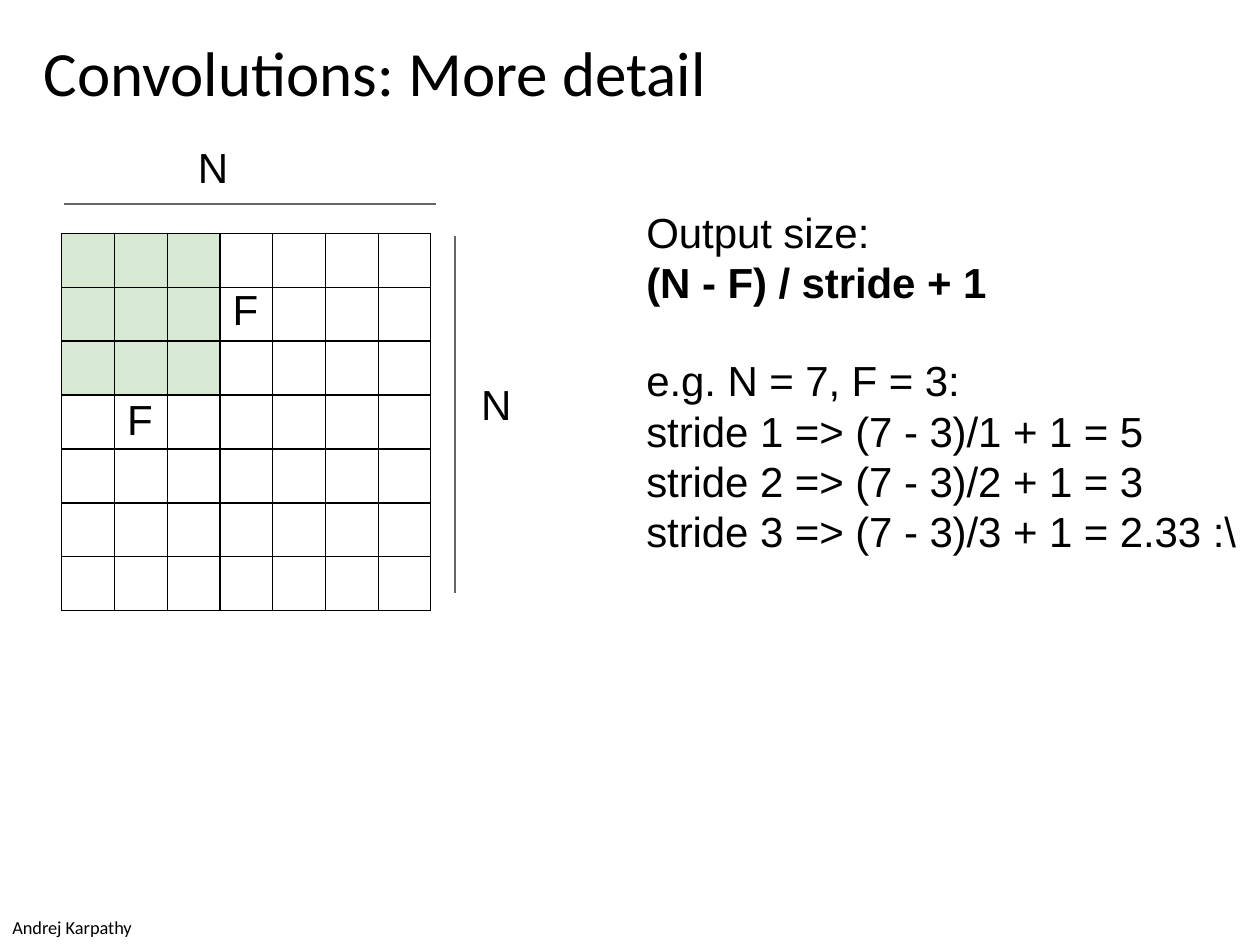
from pptx import Presentation
from pptx import util as u
from pptx.dml.color import RGBColor
from pptx.enum import shapes
from pptx.oxml import parse_xml
from pptx.oxml.ns import nsdecls

PX = 9144  # 100 px to the inch
BLACK = RGBColor(0, 0, 0)
GRAY = RGBColor(0x66, 0x66, 0x66)
GREEN = RGBColor(0xD8, 0xE9, 0xD3)
N, F = 7, 3


def px(*vals):
    return [u.Emu(v * PX) for v in vals]


def style(para, size=24, font="Arial"):
    para.font.size = u.Pt(size)
    para.font.name = font
    para.font.color.rgb = BLACK


def indent(para, left):
    props = para._p.get_or_add_pPr()
    props.set("marL", str(left * PX))
    props.set("indent", "0")


def add_text(slide, box, lines, size=24, font="Arial", pad=0, wrap=True):
    """Write one paragraph per line and return the paragraphs."""
    frame = slide.shapes.add_textbox(*px(*box)).text_frame
    frame.word_wrap = wrap
    if not pad:
        frame.margin_left = frame.margin_right = 0
        frame.margin_top = frame.margin_bottom = 0
    frame.text = "\n".join(lines)
    for para in frame.paragraphs:
        style(para, size, font)
        if not pad:
            indent(para, 1)
            for run in para.runs:
                run.font._element.set("spc", "-5")
    return frame.paragraphs


def add_line(slide, x1, y1, x2, y2):
    line = slide.shapes.add_connector(
        shapes.MSO_CONNECTOR.STRAIGHT, *px(x1, y1, x2, y2))
    line.line.color.rgb = GRAY
    line.line.width = u.Pt(1.5)
    line._element.spPr.append(parse_xml(f"<a:effectLst {nsdecls('a')}/>"))


def add_border(cell):
    props = cell._tc.get_or_add_tcPr()
    for side in "LRTB":
        props.append(parse_xml(
            f'<a:ln{side} {nsdecls("a")} w="9525"><a:solidFill>'
            f'<a:srgbClr val="{BLACK}"/></a:solidFill></a:ln{side}>'))


def add_grid(slide, x, y, w, h):
    """Draw the N by N input with its F by F filter and size lines."""
    add_line(slide, x + 2, y - 23, x + w + 4, y - 23)
    add_line(slide, x + w + 19, y + 2, x + w + 19, y + h - 14)
    add_text(slide, (x + w + 39, y + 115, 27, 41), ["N"])

    table = slide.shapes.add_table(N, N, *px(x, y, w, h)).table
    table.first_row = table.horz_banding = False
    for i in range(N):
        table.columns[i].width = u.Emu(w * PX // N)
        table.rows[i].height = u.Emu(h * PX // N)
        for j in range(N):
            cell = table.cell(i, j)
            cell.margin_left = cell.margin_right = 0
            cell.margin_top = cell.margin_bottom = 0
            add_border(cell)
            if i < F and j < F:
                cell.fill.solid()
                cell.fill.fore_color.rgb = GREEN
            else:
                cell.fill.background()
    for i, j in ((1, F), (F, 1)):
        cell = table.cell(i, j)
        cell.text = "F"
        para = cell.text_frame.paragraphs[0]
        style(para)
        indent(para, 10)
    para.line_spacing = u.Pt(28.2)


def add_rule(slide, x, y, w, h):
    """Write the top N label and, to its right, the size formula."""
    _, head, rule = add_text(
        slide, (x, y, w, h), ["N", "Output size:", "(N - F) / stride + 1"])
    for para in (head, rule):
        indent(para, 357)
        para.line_spacing = u.Pt(28.6)
    head.space_before = u.Pt(8.5)
    rule.font.bold = True


def add_cases(slide, x, y, w, h):
    sizes = {1: "5", 2: "3", 3: "2.33 :\\"}
    lines = [f"e.g. N = {N}, F = {F}:"]
    lines += [f"stride {s} => ({N} - {F})/{s} + 1 = {out}"
              for s, out in sizes.items()]
    for para in add_text(slide, (x, y, w, h), lines):
        para.line_spacing = u.Pt(28.6)


def main():
    deck = Presentation()
    deck.slide_width, deck.slide_height = px(1000, 750)
    slide = deck.slides.add_slide(deck.slide_layouts[6])
    add_grid(slide, 49, 185, 293, 300)
    add_rule(slide, 156, 112, 629, 134)
    add_cases(slide, 512, 282, 480, 163)
    add_text(slide, (25, 22, 951, 61), ["Convolutions: More detail"],
             36, "Calibri", pad=1)
    add_text(slide, (0, 722, 117, 28), ["Andrej Karpathy"],
             10.5, "Calibri", pad=1, wrap=False)
    deck.save("out.pptx")


if __name__ == "__main__":
    main()
